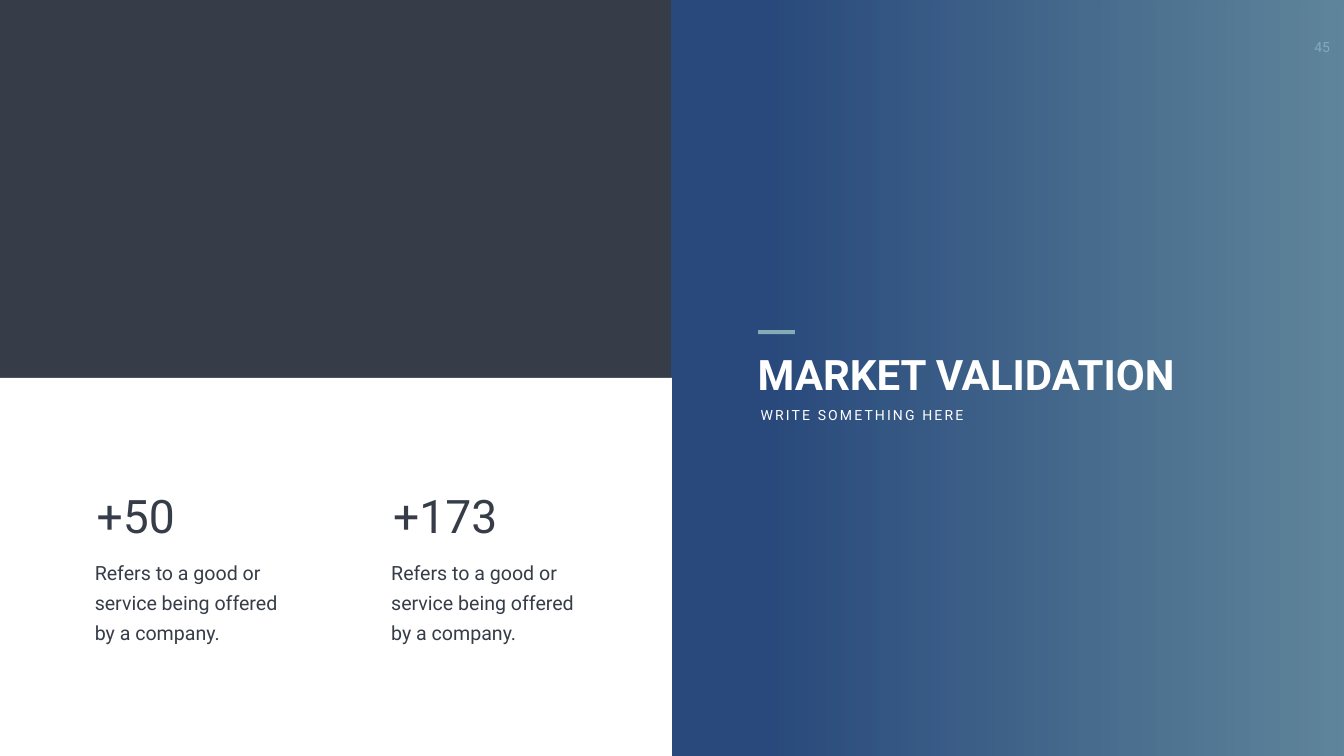
from lxml import etree
from pptx import Presentation
from pptx.dml.color import RGBColor
from pptx.enum.shapes import MSO_SHAPE
from pptx.enum.text import MSO_ANCHOR, MSO_AUTO_SIZE, PP_ALIGN
from pptx.oxml.ns import qn
from pptx.util import Inches, Pt

RECTANGLE = MSO_SHAPE.RECTANGLE
TOP = MSO_ANCHOR.TOP
NO_AUTOFIT = MSO_AUTO_SIZE.NONE
LEFT = PP_ALIGN.LEFT

WIDTH, HEIGHT = 26.66, 15
HALF = WIDTH / 2
FONT = "Roboto"
DARK, WHITE, ACCENT = "363D48", "FFFFFF", "84ACB6"
GRADIENT = [(0.15, "264D89"), (1, "6997AF")]
GRADIENT_OPACITY = 0.8

DESCRIPTION = "Refers to a good or service being offered by a company."
METRICS = [("+50", 1.64), ("+173", 7.52)]


def colour(value):
    return RGBColor.from_string(value)


def add_block(page, left, top, width, height, fill=None):
    block = page.shapes.add_shape(
        RECTANGLE, Inches(left), Inches(top), Inches(width), Inches(height))
    block.shadow.inherit = False
    block.line.fill.background()
    if fill:
        block.fill.solid()
        block.fill.fore_color.rgb = colour(fill)
    return block


def add_gradient_panel(page):
    panel = add_block(page, HALF, 0, HALF, HEIGHT)
    panel.fill.gradient()
    panel.fill.gradient_angle = 0
    for stop, (position, value) in zip(panel.fill.gradient_stops, GRADIENT):
        stop.position = position
        stop.color.rgb = colour(value)
    for tint in panel.element.spPr.iter(qn("a:srgbClr")):
        alpha = etree.SubElement(tint, qn("a:alpha"))
        alpha.set("val", str(int(GRADIENT_OPACITY * 100000)))


def format_text(box, text, size, value, bold=False, wrap=True,
                insets=(0.1, 0.05), tracking=0, leading=None):
    """Fill a box with one left-aligned paragraph; tracking and leading in points."""
    frame = box.text_frame
    frame.text = text
    frame.word_wrap = wrap
    frame.auto_size = NO_AUTOFIT
    frame.vertical_anchor = TOP
    frame.margin_left = frame.margin_right = Inches(insets[0])
    frame.margin_top = frame.margin_bottom = Inches(insets[1])
    para = frame.paragraphs[0]
    para.alignment = LEFT
    para.space_before = Pt(0)
    if leading:
        para.line_spacing = Pt(leading)
    span = para.runs[0]
    span.font.name = FONT
    span.font.size = Pt(size)
    span.font.bold = bold
    span.font.color.rgb = colour(value)
    if tracking:
        span.font._element.set("spc", str(tracking * 100))


def add_text(page, left, top, width, height, text, size, value, **style):
    box = page.shapes.add_textbox(
        Inches(left), Inches(top), Inches(width), Inches(height))
    format_text(box, text, size, value, **style)


def place_title(page, text):
    title = page.shapes.title
    title.left, title.top = Inches(14.93), Inches(6.86)
    title.width, title.height = Inches(8.78), Inches(1.11)
    format_text(title, text, 60, WHITE, bold=True)
    # Bring the title in front of the gradient panel.
    title.element.getparent().append(title.element)


def add_metric(page, left, number):
    add_text(page, left, 10.88, 4.17, 2, DESCRIPTION, 28, DARK,
             insets=(0.24, 0.12), leading=43)
    add_text(page, left + 0.18, 9.61, 2.29, 1.21, number, 66, DARK, wrap=False)


def main():
    deck = Presentation()
    deck.slide_width, deck.slide_height = Inches(WIDTH), Inches(HEIGHT)
    page = deck.slides.add_slide(deck.slide_layouts[5])
    page.background.fill.solid()
    page.background.fill.fore_color.rgb = colour(DARK)

    # The page number shows faintly through the translucent panel.
    add_text(page, 25.87, 0.67, 0.79, 0.54, "45", 20, WHITE,
             wrap=False, insets=(0.2, 0.1))
    add_gradient_panel(page)
    add_block(page, 0, HEIGHT / 2, HALF, HEIGHT / 2, WHITE)

    place_title(page, "MARKET VALIDATION")
    add_text(page, 14.99, 8.01, 4.35, 0.44, "WRITE SOMETHING HERE", 20, WHITE,
             wrap=False, tracking=3)
    add_block(page, 15.04, 6.55, 0.73, 0.08, ACCENT)

    for number, left in METRICS:
        add_metric(page, left, number)
    deck.save("out.pptx")


if __name__ == "__main__":
    main()
